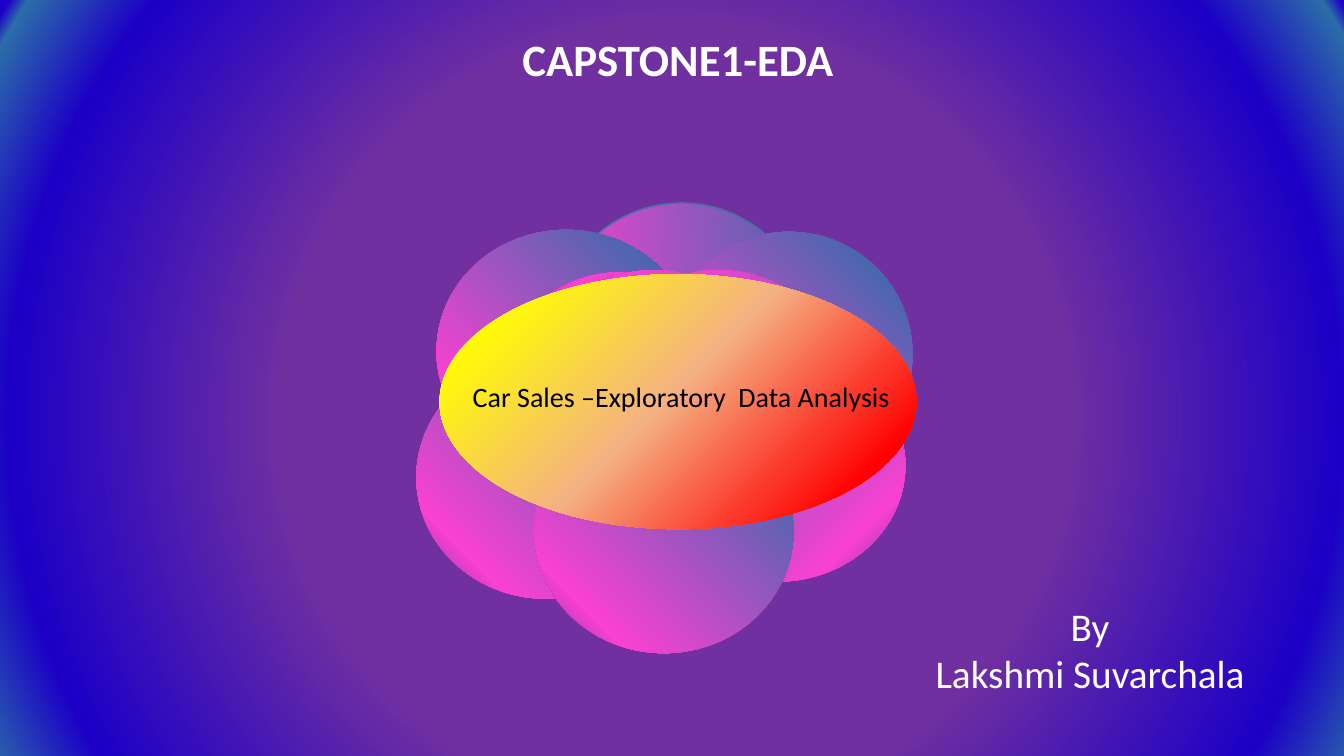
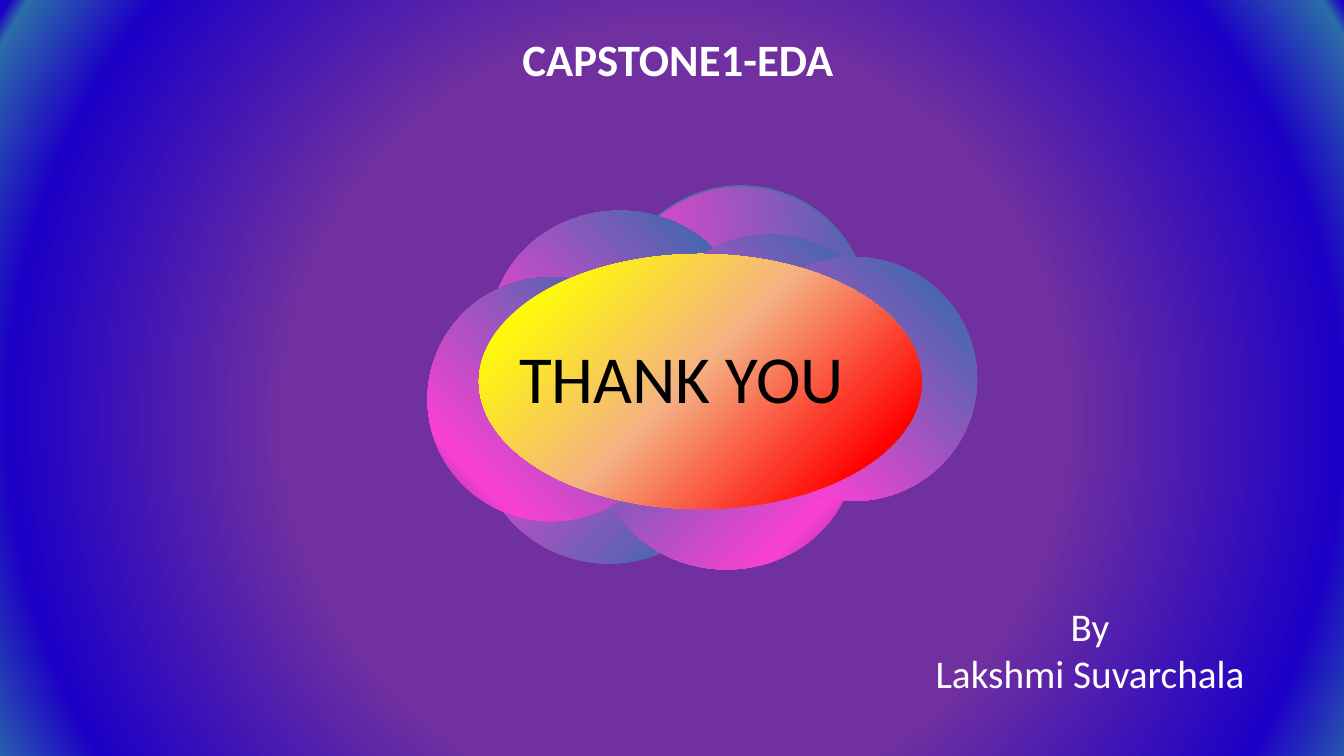
import dataclasses
import typing

import lxml.etree
import pptx
import pptx.dml.color
import pptx.enum.shapes
import pptx.enum.text
import pptx.oxml.ns
import pptx.util

Inches = pptx.util.Inches
Shapes = pptx.enum.shapes.MSO_SHAPE
Align = pptx.enum.text.PP_ALIGN
qn = pptx.oxml.ns.qn

FONT = "Calibri"
WHITE = "FFFFFF"
BLACK = "000000"
RIM = "43739E"
PURPLE = "7030A0"
SKY = "408BCE"
STEEL = "2B6DA9"
BLUE = "1C00C6"
GOLD = "FFC000"


class Stop(typing.NamedTuple):
    percent: int
    color: str


def petal_stops(start: str) -> list[Stop]:
    return [
        Stop(0, GOLD), Stop(0, PURPLE), Stop(0, SKY), Stop(0, start),
        Stop(19, "F941D2"), Stop(97, STEEL), Stop(99, BLUE),
        Stop(100, GOLD), Stop(100, "4854A5"), Stop(100, BLUE),
    ]


BACKDROP_STOPS = [
    Stop(0, SKY), Stop(0, PURPLE), Stop(27, PURPLE), Stop(41, PURPLE),
    Stop(49, PURPLE), Stop(84, BLUE), Stop(97, STEEL), Stop(99, BLUE),
]
PETAL_STOPS = petal_stops(PURPLE)
RIMMED_STOPS = petal_stops("8FAADC")
CENTRE_STOPS = [
    Stop(12, "FFFF00"), Stop(48, "F4B183"), Stop(74, "FC3628"),
    Stop(86, "FF0000"), Stop(100, "C55A11"),
]


@dataclasses.dataclass(frozen=True)
class Area:
    left: float
    top: float
    width: float
    height: float

    def lengths(self) -> list[int]:
        return [Inches(value) for value in dataclasses.astuple(self)]


@dataclasses.dataclass(frozen=True)
class Petal:
    area: Area
    flip: str = ""


@dataclasses.dataclass(frozen=True)
class Label:
    area: Area
    lines: tuple[str, ...]
    size: int
    color: str = WHITE
    bold: bool = False
    align: Align = Align.CENTER


@dataclasses.dataclass(frozen=True)
class Flower:
    rimmed: Area
    petals: list[Petal]
    centre: Area
    label: Label


def inner(left: float, top: float) -> Petal:
    return Petal(Area(left, top, 2.6, 2.53))


def broad(left: float, top: float) -> Petal:
    return Petal(Area(left, top, 2.57, 2.41), "v")


def round_petal(left: float, top: float) -> Petal:
    return Petal(Area(left, top, 2.45, 2.42), "v")


def turned(left: float, top: float) -> Petal:
    return Petal(Area(left, top, 2.53, 2.3), "hv")


def heart(left: float, top: float) -> list[Petal]:
    return [inner(4.87, 2.7), inner(5.74, 2.8), inner(left, top),
            inner(5.83, 2.68), inner(5.18, 2.68)]


BACKDROP = Area(0, 0, 13.39, 8.29)
HEADINGS = [
    Label(Area(8.52, 5.93, 4.58, 1.04), ("By", "Lakshmi Suvarchala"), 28),
    Label(Area(3.44, 0.27, 6.57, 0.64), ("CAPSTONE1-EDA",), 32, bold=True),
]
FLOWERS = [
    Flower(
        Area(5.47, 2.02, 2.56, 2.54),
        [broad(4.33, 2.28), round_petal(6.6, 2.3), *heart(5.13, 2.82),
         turned(6.45, 3.47), broad(4.13, 3.53), broad(5.3, 4.07)],
        Area(4.36, 2.72, 4.73, 2.53),
        Label(Area(4.59, 3.72, 5.2, 0.44),
              ("Car Sales –Exploratory  Data Analysis",), 20, BLACK, align=Align.LEFT),
    ),
    Flower(
        Area(6.06, 1.85, 2.56, 2.54),
        [broad(4.86, 2.09), round_petal(6.41, 2.33), *heart(4.74, 3.06),
         turned(5.94, 3.35), round_petal(7.24, 2.55), round_petal(4.24, 2.75)],
        Area(4.75, 2.52, 4.39, 2.53),
        Label(Area(5.05, 3.29, 3.7, 0.91), ("THANK YOU",), 48, BLACK, align=Align.LEFT),
    ),
]


def rgb(color: str) -> pptx.dml.color.RGBColor:
    return pptx.dml.color.RGBColor.from_string(color)


def fill_gradient(shape, stops: list[Stop], radial: bool) -> None:
    shape.fill.gradient()
    gradient = shape._element.spPr.find(qn("a:gradFill"))
    for child in list(gradient):
        gradient.remove(child)
    gradient.set("rotWithShape", "1")
    stop_list = lxml.etree.SubElement(gradient, qn("a:gsLst"))
    for stop in stops:
        mark = lxml.etree.SubElement(stop_list, qn("a:gs"), pos=str(stop.percent * 1000))
        lxml.etree.SubElement(mark, qn("a:srgbClr"), val=stop.color)
    if radial:
        circle = lxml.etree.SubElement(gradient, qn("a:path"), path="circle")
        middle = {side: "50000" for side in "ltrb"}
        lxml.etree.SubElement(circle, qn("a:fillToRect"), **middle)
    else:
        lxml.etree.SubElement(gradient, qn("a:lin"), ang=str(45 * 60000), scaled="0")


def add_gradient_shape(page, kind: Shapes, area: Area, stops: list[Stop],
                       flip: str = "", radial: bool = False):
    shape = page.shapes.add_shape(kind, *area.lengths())
    shape.shadow.inherit = False
    shape.line.fill.background()
    fill_gradient(shape, stops, radial)
    frame = shape._element.spPr.find(qn("a:xfrm"))
    for axis in flip:
        frame.set(f"flip{axis.upper()}", "1")
    return shape


def add_label(page, label: Label) -> None:
    box = page.shapes.add_textbox(*label.area.lengths())
    frame = box.text_frame
    frame.word_wrap = True
    frame.auto_size = pptx.enum.text.MSO_AUTO_SIZE.SHAPE_TO_FIT_TEXT
    frame.text = "\n".join(label.lines)
    for para in frame.paragraphs:
        para.alignment = label.align
        para.font.name = FONT
        para.font.size = pptx.util.Pt(label.size)
        para.font.bold = label.bold
        para.font.color.rgb = rgb(label.color)


def add_page(deck, flower: Flower) -> None:
    page = deck.slides.add_slide(deck.slide_layouts[6])
    add_gradient_shape(page, Shapes.RECTANGLE, BACKDROP, BACKDROP_STOPS, radial=True)
    disc = Shapes.FLOWCHART_CONNECTOR
    rimmed = add_gradient_shape(page, disc, flower.rimmed, RIMMED_STOPS)
    rimmed.rotation = 307.7
    rimmed.line.color.rgb = rgb(RIM)
    rimmed.line.width = pptx.util.Pt(1)
    for petal in flower.petals:
        add_gradient_shape(page, disc, petal.area, PETAL_STOPS, petal.flip)
    add_gradient_shape(page, disc, flower.centre, CENTRE_STOPS)
    for label in [*HEADINGS, flower.label]:
        add_label(page, label)


def main() -> None:
    deck = pptx.Presentation()
    deck.slide_width = Inches(13.33)
    deck.slide_height = Inches(7.5)
    for flower in FLOWERS:
        add_page(deck, flower)
    deck.save("out.pptx")


if __name__ == "__main__":
    main()
